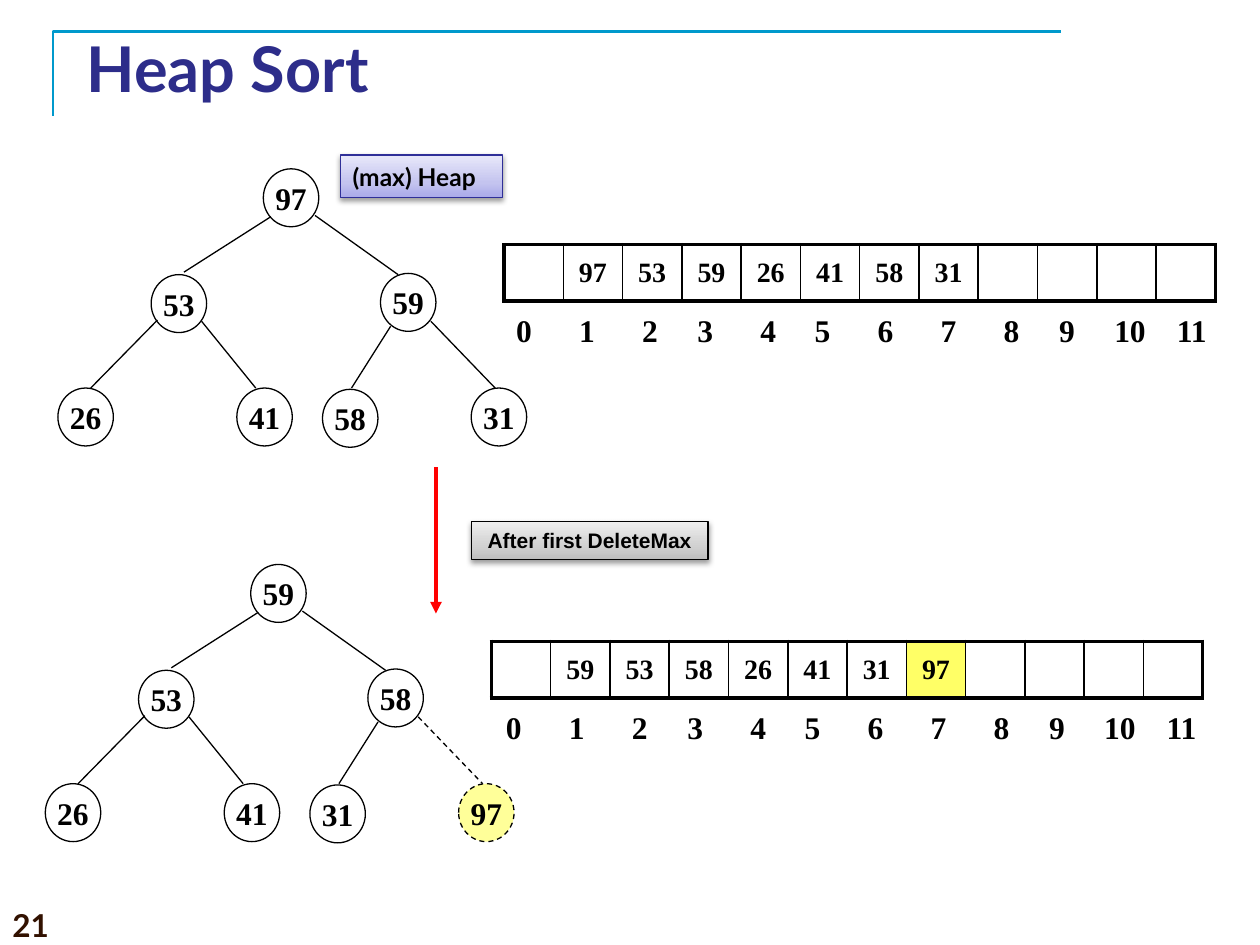
"""Build a slide that shows a max heap before and after its first DeleteMax."""
from lxml import etree
from pptx import Presentation
from pptx import util as u
from pptx.dml.color import RGBColor
from pptx.enum import dml, shapes, text
from pptx.oxml.ns import qn

COLORS = {
    "ink": "000000", "paper": "FFFFFF", "frame": "0099CC", "title": "2D2D8A",
    "number": "321100", "arrow": "FF0000", "moved": "FFFF99", "sorted": "FFFF66",
    "heap_line": "2F2F98",
}
GRADIENTS = {
    "grey": [(0, "BDBDBD"), (35, "D1D1D1"), (100, "EEEEEE")],
    "violet": [(0, "A9A9E9"), (35, "C4C4EF"), (100, "E8E8FA")],
}
SERIF = "Times New Roman"
SLOTS = 12
CELL_WIDTH = 5.65 / SLOTS
NODE_SIZE = (0.44, 0.46)
NODES = [(2.09, 1.34), (1.2, 2.18), (3.02, 2.17), (0.46, 3.08), (1.88, 3.08),
         (2.56, 3.09), (3.74, 3.08)]
EDGES = [(2.15, 1.72, 1.46, 2.16), (2.5, 1.71, 3.16, 2.18), (1.25, 2.54, 0.72, 3.08),
         (1.6, 2.55, 2.03, 3.08), (3.1, 2.59, 2.79, 3.08), (3.42, 2.55, 3.93, 3.08)]
INDEX_CENTERS = [0.16, 0.66, 1.16, 1.6, 2.1, 2.53, 3.03, 3.53, 4.03, 4.47, 4.97, 5.46]
STAGES = [
    {"values": [97, 53, 59, 26, 41, 58, 31], "tree": (0, 0), "array": (4, 1.94),
     "labels": (3.9, 2.42), "removed": None},
    {"values": [59, 53, 58, 26, 41, 31, 97], "tree": (-0.1, 3.14), "array": (3.9, 5.09),
     "labels": (3.82, 5.57), "removed": 6},
]
TAGS = [
    ("After first DeleteMax", (3.74, 4.14, 1.88, 0.3), "grey", "ink", "Arial", 12, "CENTER"),
    ("(max) Heap", (2.7, 1.23, 1.29, 0.34), "violet", "heap_line", "Lato", 14, "LEFT"),
]


def inches(values):
    return [u.Inches(value) for value in values]


def color(name):
    return RGBColor.from_string(COLORS[name])


def child(parent, tag, **attributes):
    return etree.SubElement(parent, qn(tag), {key: str(value) for key, value in attributes.items()})


def write(frame, words, size, font=SERIF, ink="ink", align="CENTER", anchor="MIDDLE"):
    frame.word_wrap = True
    frame.vertical_anchor = text.MSO_ANCHOR[anchor]
    para = frame.paragraphs[0]
    para.text = words
    para.alignment = text.PP_ALIGN[align]
    para.font.size, para.font.name, para.font.bold = u.Pt(size), font, True
    para.font.color.rgb = color(ink)
    return para


def add_text(page, words, place, size, **style):
    box = page.shapes.add_textbox(*inches(place))
    return write(box.text_frame, words, size, **style)


def set_line(line, ink="ink", width=0.75, dashed=False):
    line.color.rgb = color(ink)
    line.width = u.Pt(width)
    if dashed:
        line.dash_style = dml.MSO_LINE.DASH


def add_line(page, ends, **style):
    line = page.shapes.add_connector(shapes.MSO_CONNECTOR.STRAIGHT, *inches(ends))
    set_line(line.line, **style)
    child(line._element.spPr, "a:effectLst")
    return line


def add_tree(page, values, shift, removed):
    dx, dy = shift
    for index, (value, (left, top)) in enumerate(zip(values, NODES)):
        gone = index == removed
        node = page.shapes.add_shape(
            shapes.MSO_SHAPE.OVAL, *inches((left + dx, top + dy, *NODE_SIZE)))
        node.shadow.inherit = False
        node.fill.solid()
        node.fill.fore_color.rgb = color("moved" if gone else "paper")
        set_line(node.line, dashed=gone)
        write(node.text_frame, str(value), 18)
        node.text_frame.word_wrap = False
    for index, (x1, y1, x2, y2) in enumerate(EDGES, start=1):
        add_line(page, (x1 + dx, y1 + dy, x2 + dx, y2 + dy), dashed=index == removed)


def add_border(cell, side, width):
    border = child(cell._tc.get_or_add_tcPr(), f"a:{side}", w=u.Pt(width))
    child(child(border, "a:solidFill"), "a:srgbClr", val=COLORS["ink"])


def add_array(page, values, place, removed):
    table = page.shapes.add_table(1, SLOTS, *inches((*place, CELL_WIDTH * SLOTS, 0.45))).table
    table.first_row = table.horz_banding = False
    slots = ["", *map(str, values)]
    slots += [""] * (SLOTS - len(slots))
    for slot, words in enumerate(slots):
        table.columns[slot].width = u.Inches(CELL_WIDTH)
        cell = table.cell(0, slot)
        cell.margin_left = cell.margin_right = u.Inches(0.04)
        cell.margin_top = cell.margin_bottom = u.Inches(0.02)
        cell.vertical_anchor = text.MSO_ANCHOR.MIDDLE
        write(cell.text_frame, words, 16)
        add_border(cell, "lnL", 2.25 if slot == 0 else 1)
        add_border(cell, "lnR", 2.25 if slot == SLOTS - 1 else 1)
        add_border(cell, "lnT", 2.25)
        add_border(cell, "lnB", 2.25)
        cell.fill.solid()
        moved = removed is not None and slot == removed + 1
        cell.fill.fore_color.rgb = color("sorted" if moved else "paper")


def add_indexes(page, place):
    words = "".join(f"\t{slot}" for slot in range(SLOTS))
    para = add_text(page, words, (*place, 5.83, 0.4), 18, align="LEFT", anchor="TOP")
    properties = para._p.get_or_add_pPr()
    stops = etree.Element(qn("a:tabLst"))
    for center in INDEX_CENTERS:
        child(stops, "a:tab", pos=u.Inches(center), algn="ctr")
    properties.insert(0, stops)


def add_tag(page, words, place, gradient, line, font, size, align):
    tag = page.shapes.add_shape(shapes.MSO_SHAPE.RECTANGLE, *inches(place))
    tag.fill.gradient()
    tag.fill.gradient_angle = 90
    stops = tag._element.spPr.find(".//" + qn("a:gsLst"))
    for stop in list(stops):
        stops.remove(stop)
    for percent, shade in GRADIENTS[gradient]:
        child(child(stops, "a:gs", pos=percent * 1000), "a:srgbClr", val=shade)
    set_line(tag.line, ink=line)
    tag.shadow.inherit = False
    shadow = child(tag._element.spPr.find(qn("a:effectLst")), "a:outerShdw",
                   blurRad=u.Pt(3.1), dist=u.Pt(1.6), dir=5400000, rotWithShape=0)
    child(child(shadow, "a:srgbClr", val=COLORS["ink"]), "a:alpha", val=38000)
    write(tag.text_frame, words, size, font=font, align=align)


def add_frame(page):
    builder = page.shapes.build_freeform(u.Inches(0.42), u.Inches(0.92))
    builder.add_line_segments([inches((0.42, 0.25)), inches((8.42, 0.25))], close=False)
    frame = builder.convert_to_shape()
    frame.fill.background()
    frame.shadow.inherit = False
    set_line(frame.line, "frame", 1.5)


def main():
    deck = Presentation()
    deck.slide_width, deck.slide_height = inches((10, 7.5))
    page = deck.slides.add_slide(deck.slide_layouts[6])
    add_frame(page)
    add_text(page, "21", (0, 7.14, 3.12, 0.36), 18, font="Lato", ink="number",
             align="LEFT", anchor="TOP")
    add_text(page, "Heap Sort", (0.59, 0.3, 8.5, 0.47), 36, font="Lato", ink="title",
             align="LEFT")
    for stage in STAGES:
        add_tree(page, stage["values"], stage["tree"], stage["removed"])
        add_indexes(page, stage["labels"])
        add_array(page, stage["values"], stage["array"], stage["removed"])
    arrow = add_line(page, (3.46, 3.71, 3.46, 4.87), ink="arrow", width=2.25)
    child(arrow.line._get_or_add_ln(), "a:tailEnd", type="triangle")
    for tag in TAGS:
        add_tag(page, *tag)
    deck.save("out.pptx")


if __name__ == "__main__":
    main()
